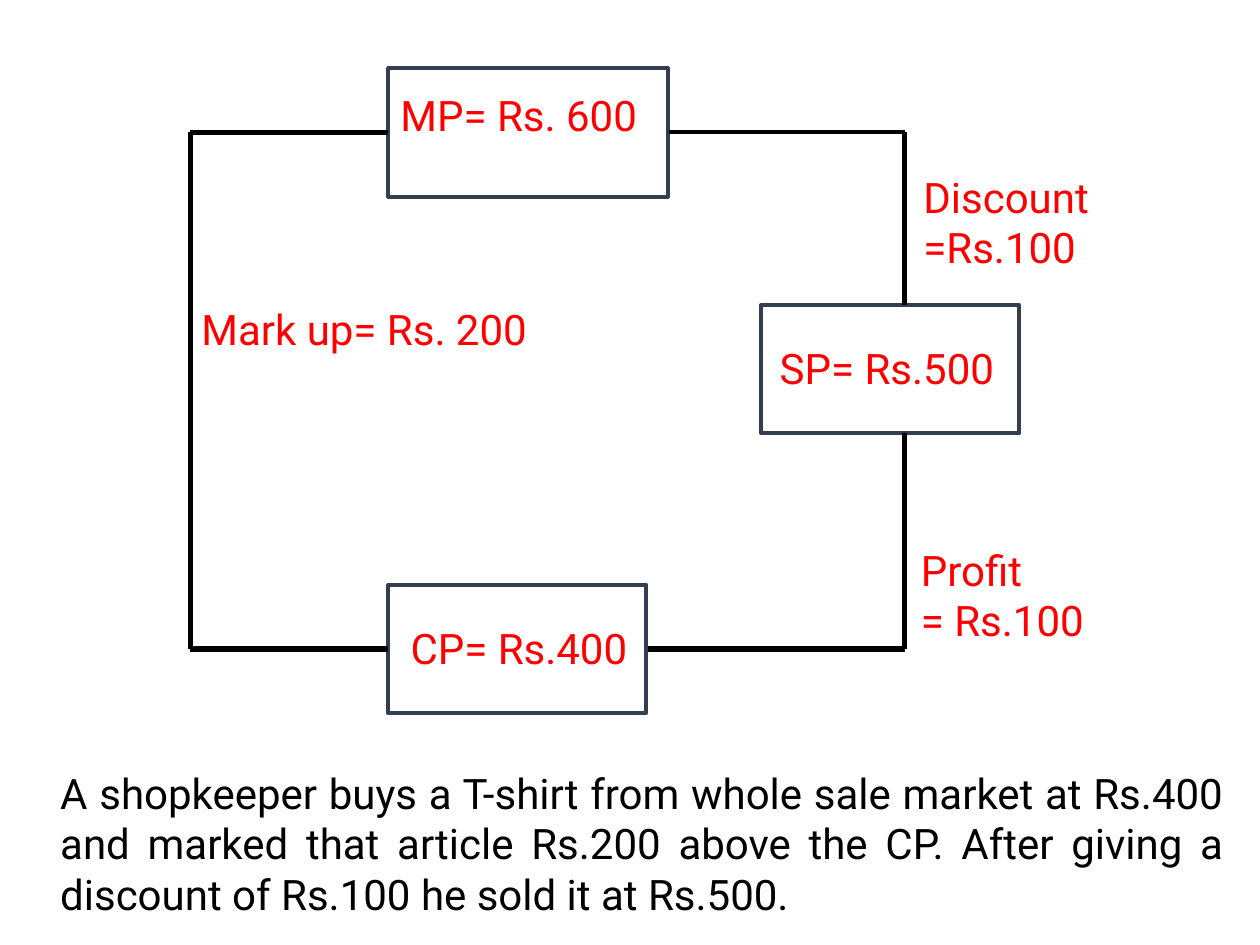
import pptx
import pptx.dml.color
import pptx.enum.shapes
import pptx.enum.text
import pptx.util
from lxml import etree
from pptx.oxml.ns import qn
from pptx.util import Inches

COLOURS = {"box": "FFFFFF", "border": "333F50", "line": "000000",
           "label": "FF0000", "body": "000000"}


class Page:
    """The current slide and the style of its elements."""
    font = "Roboto"
    size = 24

    def __init__(self, deck):
        self.slide = deck.slides.add_slide(deck.slide_layouts[6])

    def colour(self, name):
        return pptx.dml.color.RGBColor.from_string(COLOURS[name])

    def box(self, left, top, width, height):
        box = self.slide.shapes.add_shape(
            pptx.enum.shapes.MSO_SHAPE.RECTANGLE,
            Inches(left), Inches(top), Inches(width), Inches(height))
        box.shadow.inherit = False
        box.fill.solid()
        box.fill.fore_color.rgb = self.colour("box")
        box.line.color.rgb = self.colour("border")
        box.line.width = pptx.util.Pt(2.25)

    def line(self, start, end, weight=3):
        line = self.slide.shapes.add_connector(
            pptx.enum.shapes.MSO_CONNECTOR.STRAIGHT,
            *(Inches(value) for value in start + end))
        line.line.color.rgb = self.colour("line")
        line.line.width = pptx.util.Pt(weight)
        etree.SubElement(line._element.spPr, qn("a:effectLst"))

    def text(self, left, top, width, height, *lines, colour="label", align=None):
        box = self.slide.shapes.add_textbox(
            Inches(left), Inches(top), Inches(width), Inches(height))
        frame = box.text_frame
        frame.word_wrap = True
        frame.auto_size = pptx.enum.text.MSO_AUTO_SIZE.SHAPE_TO_FIT_TEXT
        for index, words in enumerate(lines):
            para = frame.add_paragraph() if index else frame.paragraphs[0]
            para.alignment = align
            span = para.add_run()
            span.text = words
            span.font.name = self.font
            span.font.size = pptx.util.Pt(self.size)
            span.font.color.rgb = self.colour(colour)


def main():
    deck = pptx.Presentation()
    deck.slide_width, deck.slide_height = Inches(10), Inches(7.5)
    page = Page(deck)

    # Price boxes
    box_height = 1.02
    selling_top = 2.42
    page.box(6.04, selling_top, 2.05, box_height)
    page.box(3.08, 4.64, 2.05, box_height)
    page.box(3.08, 0.54, 2.22, box_height)

    # Prices
    page.text(3.08, 0.66, 2.22, 0.5, "MP= Rs. 600")
    page.text(3.16, 4.89, 1.98, 0.5, "CP= Rs.400")
    page.text(6.09, 2.67, 1.94, 0.5, "SP= Rs.500")

    # Lines joining the boxes
    left, right, top, bottom = 1.51, 7.18, 1.05, 5.15
    page.line((3.08, bottom), (left, bottom))
    page.line((left, bottom), (left, top))
    page.line((left, top), (3.08, top))
    page.line((5.31, top), (right, top), weight=2.25)
    page.line((right, top), (right, selling_top))
    page.line((right, selling_top + box_height), (right, bottom))
    page.line((5.14, bottom), (right, bottom))

    # Differences between the prices
    page.text(1.5, 2.36, 3.05, 0.5, "Mark up= Rs. 200")
    page.text(7.23, 1.31, 2.58, 0.91, "Discount =Rs.100")
    page.text(7.21, 4.27, 2.22, 0.91, "Profit", "= Rs.100")

    # Worked example
    page.text(0.38, 6.04, 9.43, 1.31,
              "A shopkeeper buys a T-shirt from whole sale market at Rs.400 "
              "and marked that article Rs.200 above the CP. After giving a "
              "discount of Rs.100 he sold it at Rs.500.",
              colour="body", align=pptx.enum.text.PP_ALIGN.JUSTIFY)

    deck.save("out.pptx")


if __name__ == "__main__":
    main()
